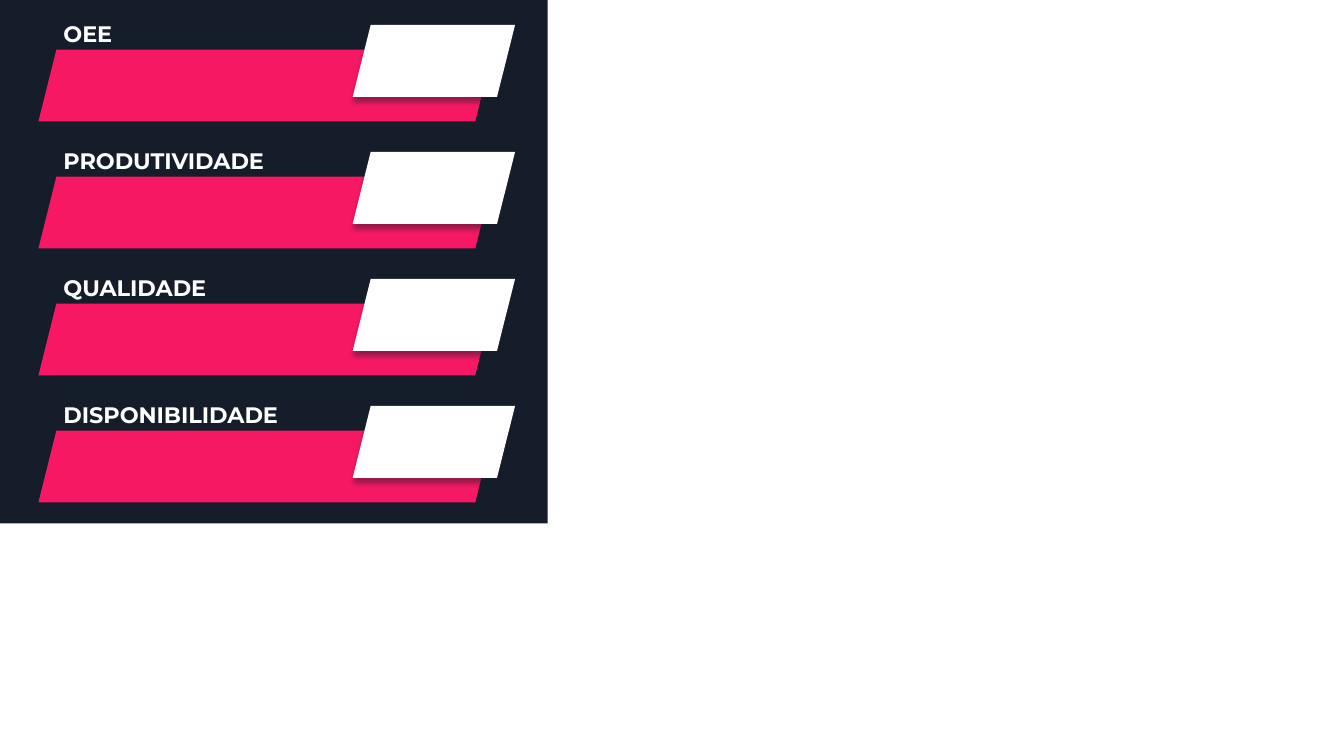
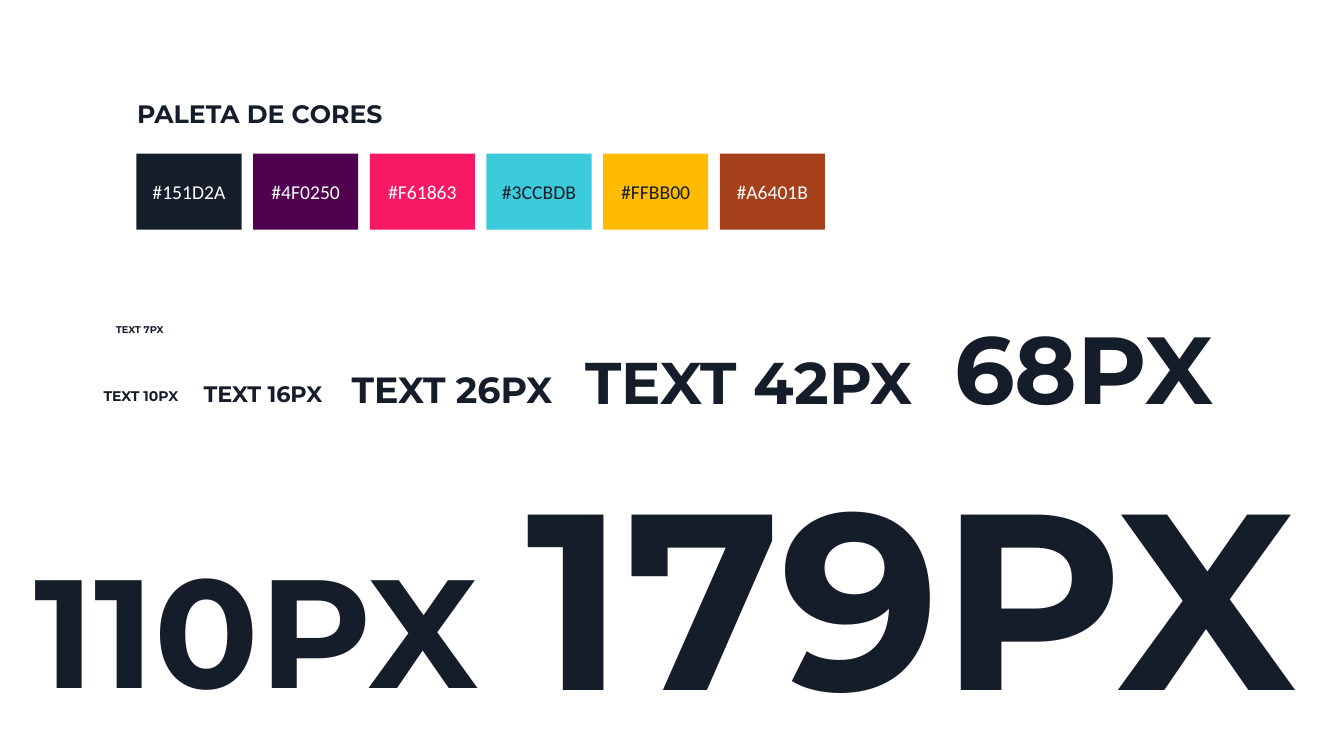
from dataclasses import dataclass

from lxml.etree import SubElement
from pptx import Presentation
from pptx.dml.color import RGBColor
from pptx.enum.shapes import MSO_SHAPE as Preset
from pptx.enum.text import MSO_ANCHOR as Anchor, MSO_AUTO_SIZE as AutoSize, PP_ALIGN as Align
from pptx.oxml.ns import qn
from pptx.util import Cm, Pt


@dataclass(frozen=True)
class Theme:
    navy: str = "151D2A"
    purple: str = "4F0250"
    pink: str = "F61863"
    cyan: str = "3CCBDB"
    amber: str = "FFBB00"
    rust: str = "A6401B"
    white: str = "FFFFFF"
    heading_font: str = "Montserrat"
    body_font: str = "Calibri"
    label_size: int = 16
    title_size: int = 18
    code_size: int = 14


theme = Theme()


def add_block(shapes, preset, left, top, width, height, color):
    block = shapes.add_shape(preset, Cm(left), Cm(top), Cm(width), Cm(height))
    block.shadow.inherit = False
    block.fill.solid()
    block.fill.fore_color.rgb = RGBColor.from_string(color)
    block.line.fill.background()
    return block


def write_line(frame, text, size, color, font=theme.heading_font, bold=True,
               align=Align.LEFT, anchor=Anchor.TOP):
    """Put one unwrapped line of styled text in the frame."""
    frame.word_wrap = False
    frame.auto_size = AutoSize.NONE
    frame.vertical_anchor = anchor
    paragraph = frame.paragraphs[0]
    paragraph.alignment = align
    run = paragraph.add_run()
    run.text = text
    run.font.name = font
    run.font.size = Pt(size)
    run.font.bold = bold
    run.font.color.rgb = RGBColor.from_string(color)


deck = Presentation()
deck.slide_width, deck.slide_height = Cm(33.87), Cm(19.05)
title_only, blank = deck.slide_layouts[5], deck.slide_layouts[6]

# Indicator panel
indicators = deck.slides.add_slide(blank)
add_block(indicators.shapes, Preset.RECTANGLE, 0, 0, 13.8, 13.19, theme.navy)

INDICATOR_PITCH = 3.2
labels = [("OEE", 1.75), ("PRODUTIVIDADE", 5.72), ("QUALIDADE", 4.22), ("DISPONIBILIDADE", 6.05)]
for row, (label, label_width) in enumerate(labels):
    offset = row * INDICATOR_PITCH
    indicator = indicators.shapes.add_group_shape().shapes
    add_block(indicator, Preset.PARALLELOGRAM, 0.97, 1.25 + offset, 11.46, 1.81, theme.pink)
    value_tag = add_block(indicator, Preset.PARALLELOGRAM, 8.89, 0.63 + offset, 4.09, 1.81,
                          theme.white)
    effects = value_tag._element.spPr.find(qn("a:effectLst"))
    shadow = SubElement(effects, qn("a:outerShdw"), blurRad=str(Pt(4)), dist=str(Pt(4)),
                        dir="5400000", algn="t", rotWithShape="0")
    shadow_color = SubElement(shadow, qn("a:srgbClr"), val=theme.navy)
    SubElement(shadow_color, qn("a:alpha"), val="44000")
    caption = indicator.add_textbox(Cm(1.35), Cm(0.38 + offset), Cm(label_width), Cm(0.94))
    write_line(caption.text_frame, label, theme.label_size, theme.white)

# Colour palette and type scale
style_guide = deck.slides.add_slide(title_only)
title = style_guide.shapes.title
title.left, title.top, title.width, title.height = Cm(3.2), Cm(2.36), Cm(6.96), Cm(1.02)
write_line(title.text_frame, "PALETA DE CORES", theme.title_size, theme.navy)

SWATCH_WIDTH, SWATCH_GAP = 2.65, 0.29
palette = [
    (theme.navy, theme.white),
    (theme.purple, theme.white),
    (theme.pink, theme.white),
    (theme.cyan, theme.navy),
    (theme.amber, theme.navy),
    (theme.rust, theme.white),
]
for column, (color, code_color) in enumerate(palette):
    swatch = add_block(style_guide.shapes, Preset.RECTANGLE,
                       3.44 + column * (SWATCH_WIDTH + SWATCH_GAP), 3.87,
                       SWATCH_WIDTH, 1.92, color)
    write_line(swatch.text_frame, f"#{color}", theme.code_size, code_color,
               theme.body_font, False, Align.CENTER, Anchor.MIDDLE)

# Each row: left edge, then samples (text, points, top, width) set side by side
type_rows = [
    (2.67, [("TEXT 7PX", 7, 8.03, 1.83)]),
    (2.36, [
        ("TEXT 10PX", 10, 9.65, 2.52),
        ("TEXT 16PX", 16, 9.45, 3.73),
        ("TEXT 26PX", 26, 9.12, 5.89),
        ("TEXT 42PX", 42, 8.59, 9.3),
        ("68PX", 68, 7.67, 7.42),
    ]),
    (0.61, [("110PX", 110, 13.34, 12.42), ("179PX", 179, 10.97, 21.11)]),
]
for left, samples in type_rows:
    for text, points, top, width in samples:
        height = Pt(points * 1.21) + Cm(0.25)
        sample = style_guide.shapes.add_textbox(Cm(left), Cm(top), Cm(width), height)
        write_line(sample.text_frame, text, points, theme.navy)
        left += width

deck.save("out.pptx")
